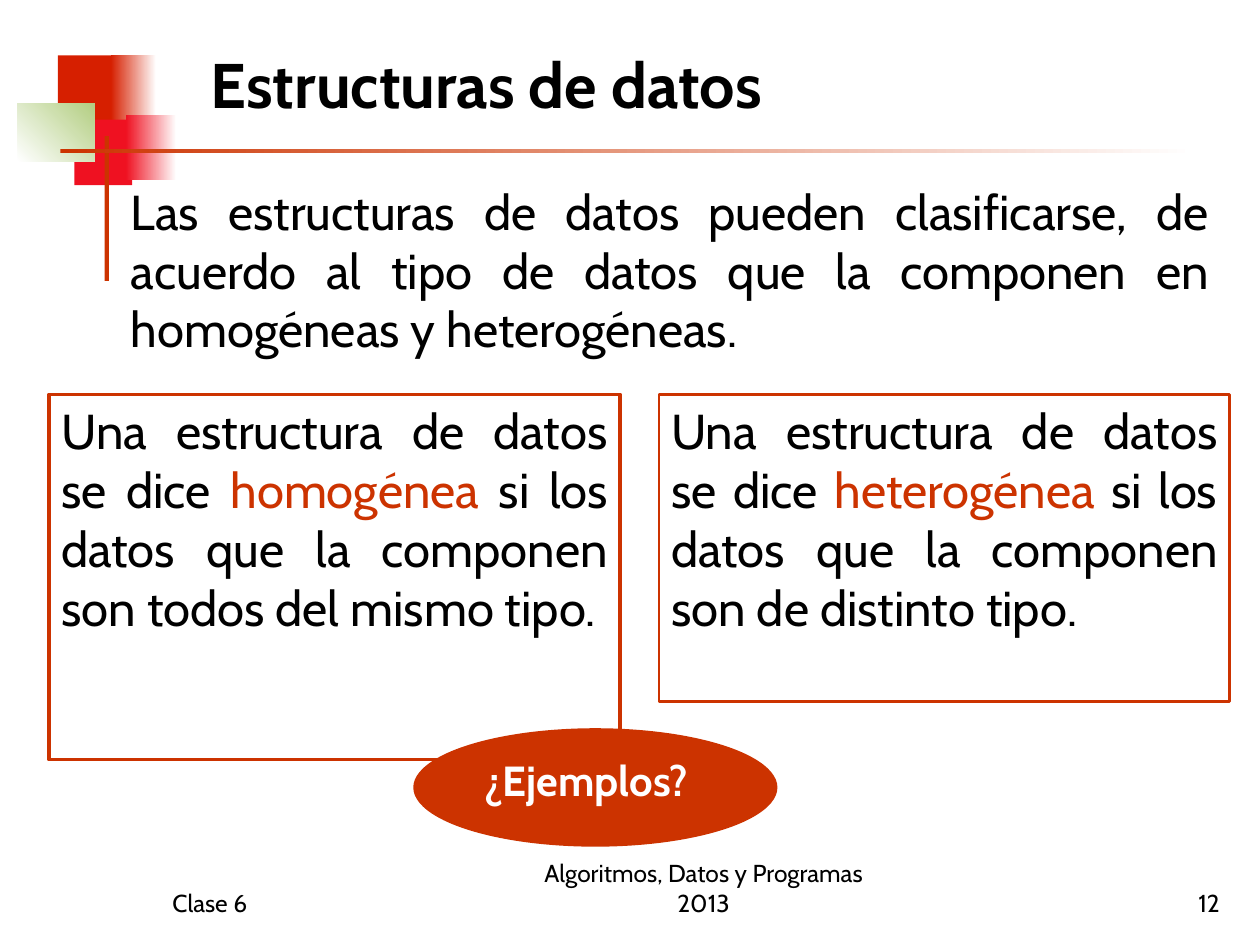
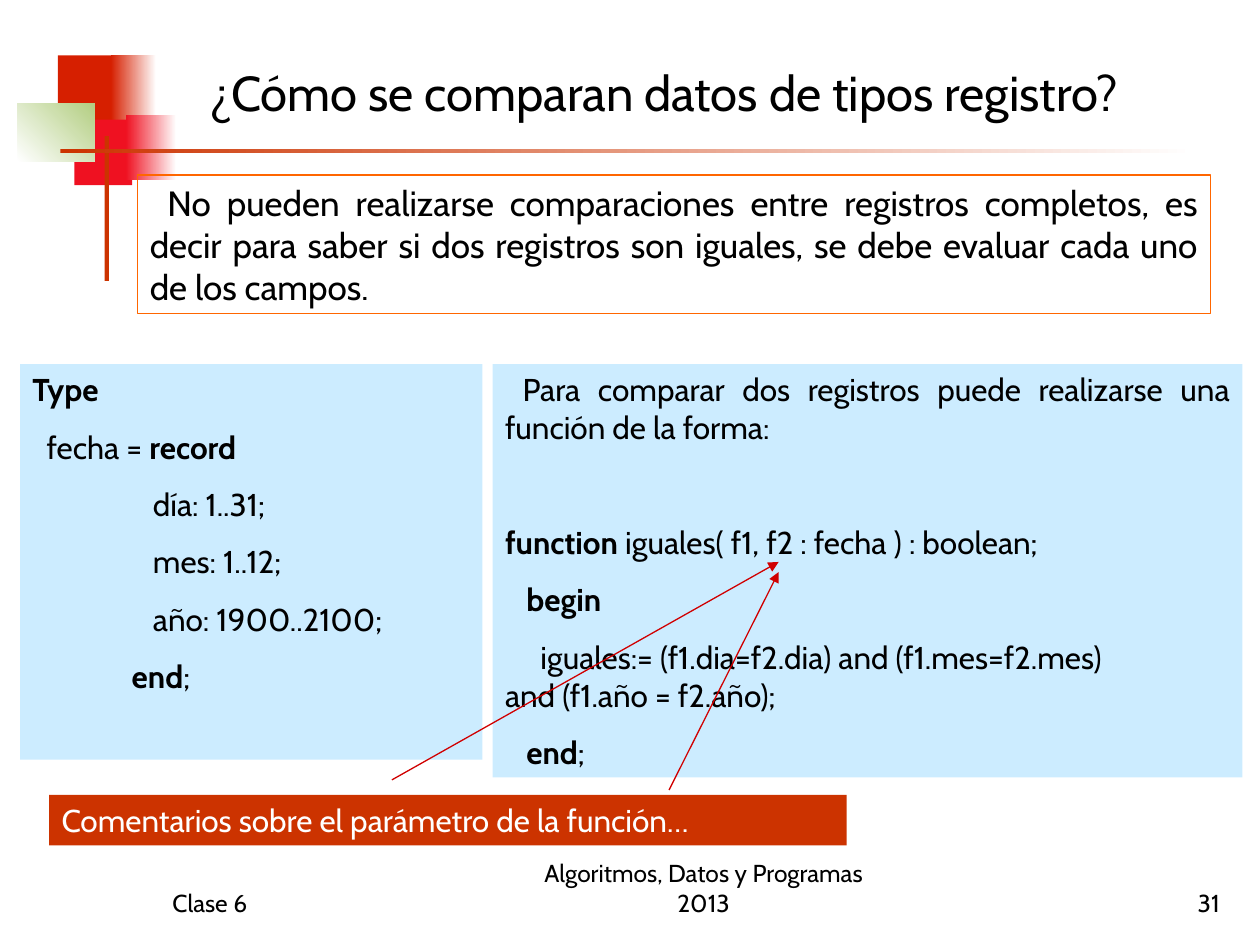
import collections

import pptx
import pptx.dml.color
import pptx.enum.shapes
import pptx.enum.text
import pptx.oxml
import pptx.oxml.ns
import pptx.util

Pt = pptx.util.Pt
Kind = pptx.enum.shapes.MSO_SHAPE
Align = pptx.enum.text.PP_ALIGN
Anchor = pptx.enum.text.MSO_ANCHOR

COLS, ROWS = 100, 75
CELL = pptx.util.Inches(0.1)
FONT = "Cabin"
HUES = {
    "paper": "FFFFFF", "ink": "000000", "rust": "CC3300", "brick": "D61F00",
    "red": "EF1121", "leaf": "B3CE82", "sky": "CCECFF", "orange": "FF6600",
    "arrow": "D00000",
}

Box = collections.namedtuple("Box", "x y w h")
PAGE = Box(0, 0, COLS, ROWS)


def part(box, x, y, w, h):
    """Return a box whose corner is counted in cells from the given box."""
    return Box(box.x + x, box.y + y, w, h)


def emu(box):
    return [round(n * CELL) for n in box]


def hue(name):
    return pptx.dml.color.RGBColor.from_string(HUES[name])


def shape(slide, box, fill=None, line=None, width=1, kind=Kind.RECTANGLE):
    item = slide.shapes.add_shape(kind, *emu(box))
    item.shadow.inherit = False
    if fill:
        item.fill.solid()
        item.fill.fore_color.rgb = hue(fill)
    else:
        item.fill.background()
    if line:
        item.line.color.rgb = hue(line)
        item.line.width = Pt(width)
    else:
        item.line.fill.background()
    return item


def fade(slide, box, start, end, angle=0):
    item = shape(slide, box, start)
    item.fill.gradient()
    item.fill.gradient_angle = angle
    for stop, name in zip(item.fill.gradient_stops, (start, end)):
        stop.color.rgb = hue(name)


def write(item, lines, size, align=Align.LEFT, color="ink", accent=None,
          bold=False, gap=0, anchor=Anchor.TOP):
    """Fill a shape; parts between asterisks take the accent hue, or bold."""
    frame = item.text_frame
    frame.word_wrap = True
    frame.auto_size = pptx.enum.text.MSO_AUTO_SIZE.NONE
    frame.vertical_anchor = anchor
    for i, line in enumerate(lines):
        para = frame.add_paragraph() if i else frame.paragraphs[0]
        para.alignment = align
        para.space_before = Pt(gap if i else 0)
        for j, piece in enumerate(line.split("*")):
            marked = j % 2 == 1
            for k, text in enumerate(piece.split("\n")):
                if k:
                    para.add_line_break()
                if not text:
                    continue
                run = para.add_run()
                run.text = text
                run.font.name = FONT
                run.font.size = Pt(size)
                run.font.bold = bold or (marked and not accent)
                run.font.color.rgb = hue(accent if marked and accent else color)
    return frame


def label(slide, box, text, size, **style):
    return write(slide.shapes.add_textbox(*emu(box)), [text], size, **style)


def indent(para, cells):
    para._p.get_or_add_pPr().set("indent", str(round(cells * CELL)))


def emblem(slide, box):
    """Draw the overlapping squares and the two rules by the title."""
    shape(slide, part(box, 3.2, 0, 4.8, 5.2), "brick")
    fade(slide, part(box, 7.4, 0, 3.6, 5.2), "brick", "paper")
    shape(slide, part(box, 4.5, 5.1, 4.6, 5.2), "red")
    fade(slide, part(box, 8.6, 4.7, 4, 5.2), "red", "paper")
    fade(slide, part(box, 0, 3.8, 6.1, 4.6), "paper", "leaf", 45)
    shape(slide, part(box, 6.9, 6.4, 0.35, 11.5), "rust")
    fade(slide, part(box, 3.4, 7.4, 90, 0.35), "rust", "paper")


def footer(slide, box, number):
    notes = [
        (0, 20.8, "Clase 6", Align.LEFT),
        (27.3, 31.7, "Algoritmos, Datos y Programas 2013", Align.CENTER),
        (64.3, 20.8, number, Align.RIGHT),
    ]
    for x, w, text, align in notes:
        label(slide, part(box, x, 0, w, box.h), text, 14, align=align,
              anchor=Anchor.BOTTOM)


def start(deck, title, box, size, number, bold=False):
    """Add a slide with the title, emblem and footer that all slides share."""
    slide = deck.slides.add_slide(deck.slide_layouts[5])
    head = slide.shapes.title
    head.left, head.top, head.width, head.height = emu(box)
    write(head, [title], size, bold=bold, anchor=Anchor.BOTTOM)
    emblem(slide, part(PAGE, 1.4, 4.4, 93.4, 17.9))
    footer(slide, part(PAGE, 12.7, 68.3, 85.1, 5), number)
    return slide


def kinds(slide, box):
    """Set the two definitions side by side."""
    wide, gutter = 45.3, 3.1
    texts = [
        ("Una estructura de datos se dice *homogénea *si los datos que la "
         "componen son todos del mismo tipo.", 29, 2),
        ("Una estructura de datos se dice *heterogénea* si los datos que la "
         "componen son de distinto tipo.", 24.4, 1.5),
    ]
    for i, (text, tall, width) in enumerate(texts):
        card = part(box, i * (wide + gutter), 0, wide, tall)
        write(shape(slide, card, "paper", "rust", width), [text], 28,
              align=Align.JUSTIFY, accent="rust")


def prompt(slide, box):
    shape(slide, box, "rust", kind=Kind.OVAL)
    label(slide, part(box, 4.7, 1.6, 24, 5), "¿Ejemplos?", 24,
          color="paper", bold=True)


def record(slide, box):
    lines = [
        "*Type*",
        "  fecha = *record*",
        "                 día: 1..31;",
        "                 mes: 1..12;",
        "                 año: 1900..2100;",
        "              *end*;",
    ]
    write(shape(slide, box, "sky"), lines, 18, gap=11.2)


def equal(slide, box):
    """Show the comparing function under its lead sentence."""
    lines = [
        "Para comparar dos registros puede realizarse una función de la forma:",
        "*function* iguales( f1, f2 : fecha ) : boolean;",
        "   *begin*",
        "     iguales:= (f1.dia=f2.dia) and (f1.mes=f2.mes)\n"
        "and (f1.año = f2.año);",
        "   *end*;",
    ]
    frame = write(shape(slide, box, "sky"), lines, 18, gap=11.2)
    lead, head = frame.paragraphs[:2]
    lead.alignment = Align.JUSTIFY
    indent(lead, 1.4)
    head.space_before = Pt(44)


def arrow(slide, tail, tip):
    ends = [round(n * CELL) for n in tail + tip]
    link = slide.shapes.add_connector(
        pptx.enum.shapes.MSO_CONNECTOR.STRAIGHT, *ends)
    link.line.color.rgb = hue("arrow")
    link.line.width = Pt(0.75)
    qn = pptx.oxml.ns.qn
    edge = link.line._get_or_add_ln()
    edge.append(edge.makeelement(qn("a:tailEnd"), {"type": "triangle"}))
    props = link._element.spPr
    props.append(props.makeelement(qn("a:effectLst"), {}))


def remark(slide, box):
    """Place the comment bar and its arrows to the parameter."""
    write(shape(slide, box, "rust"),
          ["Comentarios sobre el parámetro de la función…"], 18, color="paper")
    for tail, tip in [((27.2, -1.2), (57.9, -18.5)),
                      ((49.2, -0.4), (57.9, -17.7))]:
        arrow(slide, (box.x + tail[0], box.y + tail[1]),
              (box.x + tip[0], box.y + tip[1]))


def types(deck):
    slide = start(deck, "Estructuras de datos", part(PAGE, 15.7, 1.8, 74.2, 8.3),
                  36, "12", bold=True)
    label(slide, part(PAGE, 9.4, 13.9, 87.5, 15),
          "Las estructuras de datos pueden clasificarse, de acuerdo al tipo de "
          "datos que la componen en homogéneas y heterogéneas.",
          28, align=Align.JUSTIFY)
    kinds(slide, part(PAGE, 3.9, 31.3, 93.7, 29))
    prompt(slide, part(PAGE, 32.8, 57.8, 28.9, 9.4))


def compare(deck):
    slide = start(deck, "¿Cómo se comparan datos de tipos registro?",
                  part(PAGE, 15.6, 2.1, 79.2, 8), 28, "31")
    rule = shape(slide, part(PAGE, 10.9, 13.9, 85.2, 11), None, "orange", 0.75)
    frame = write(rule, [
        "No pueden realizarse comparaciones entre registros completos, es decir "
        "para saber si dos registros son iguales, se debe evaluar cada uno de "
        "los campos."], 20, align=Align.JUSTIFY)
    indent(frame.paragraphs[0], 1.4)
    equal(slide, part(PAGE, 39.1, 28.9, 59.5, 32.8))
    record(slide, part(PAGE, 1.6, 28.9, 36.7, 31.4))
    remark(slide, part(PAGE, 3.9, 63.1, 63.3, 4))


def main():
    deck = pptx.Presentation()
    deck.slide_width = COLS * CELL
    deck.slide_height = ROWS * CELL
    types(deck)
    compare(deck)
    deck.save("out.pptx")


if __name__ == "__main__":
    main()
